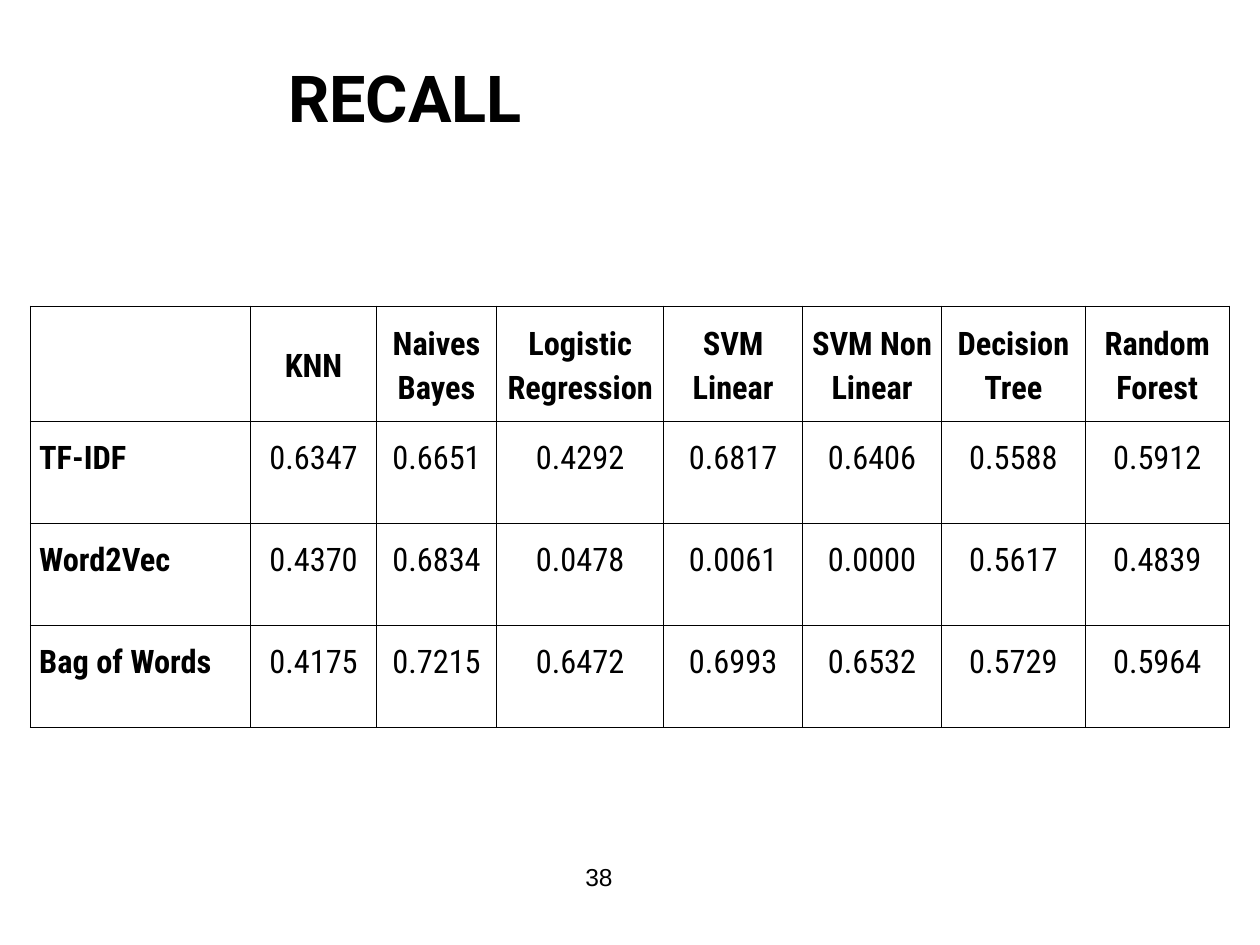
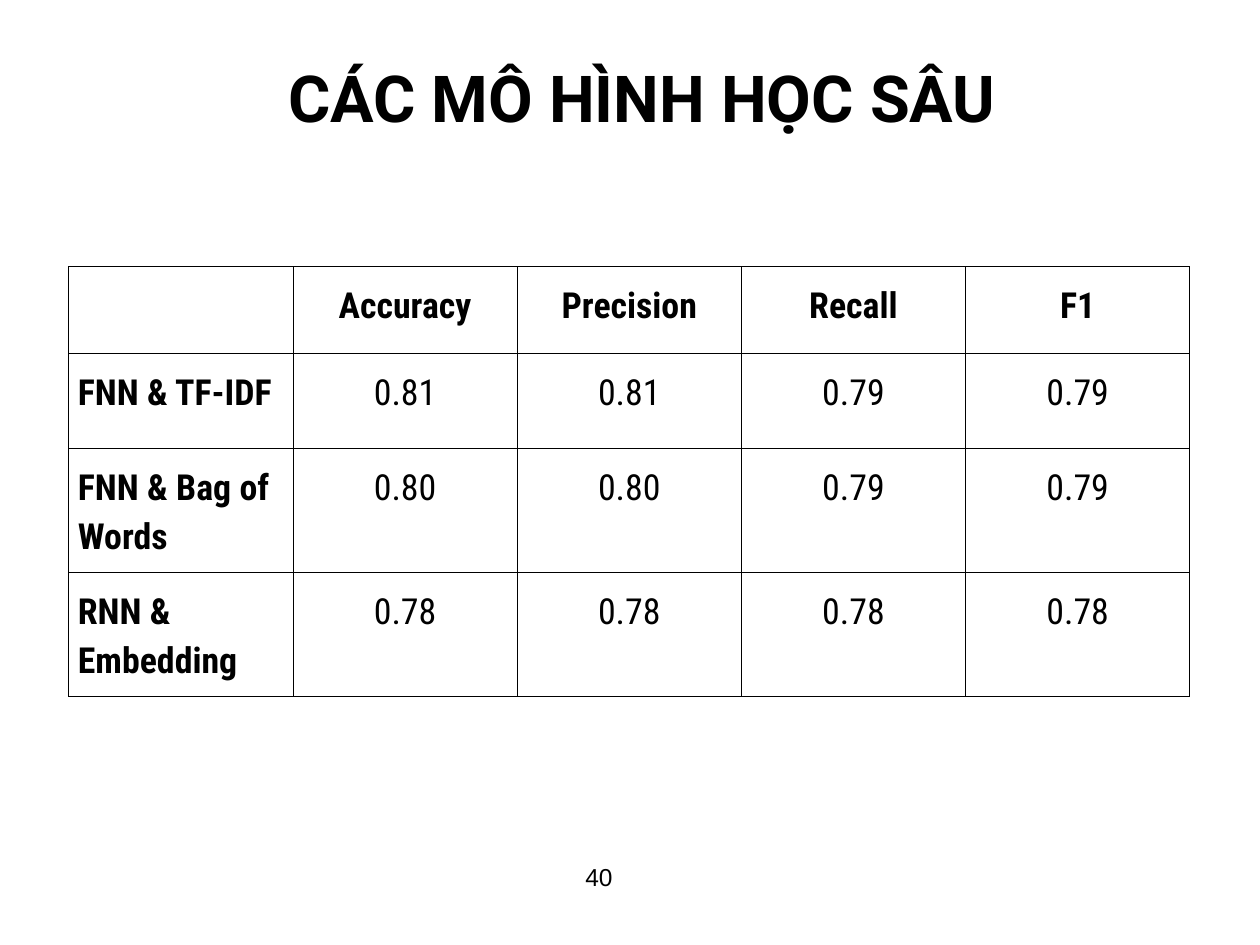
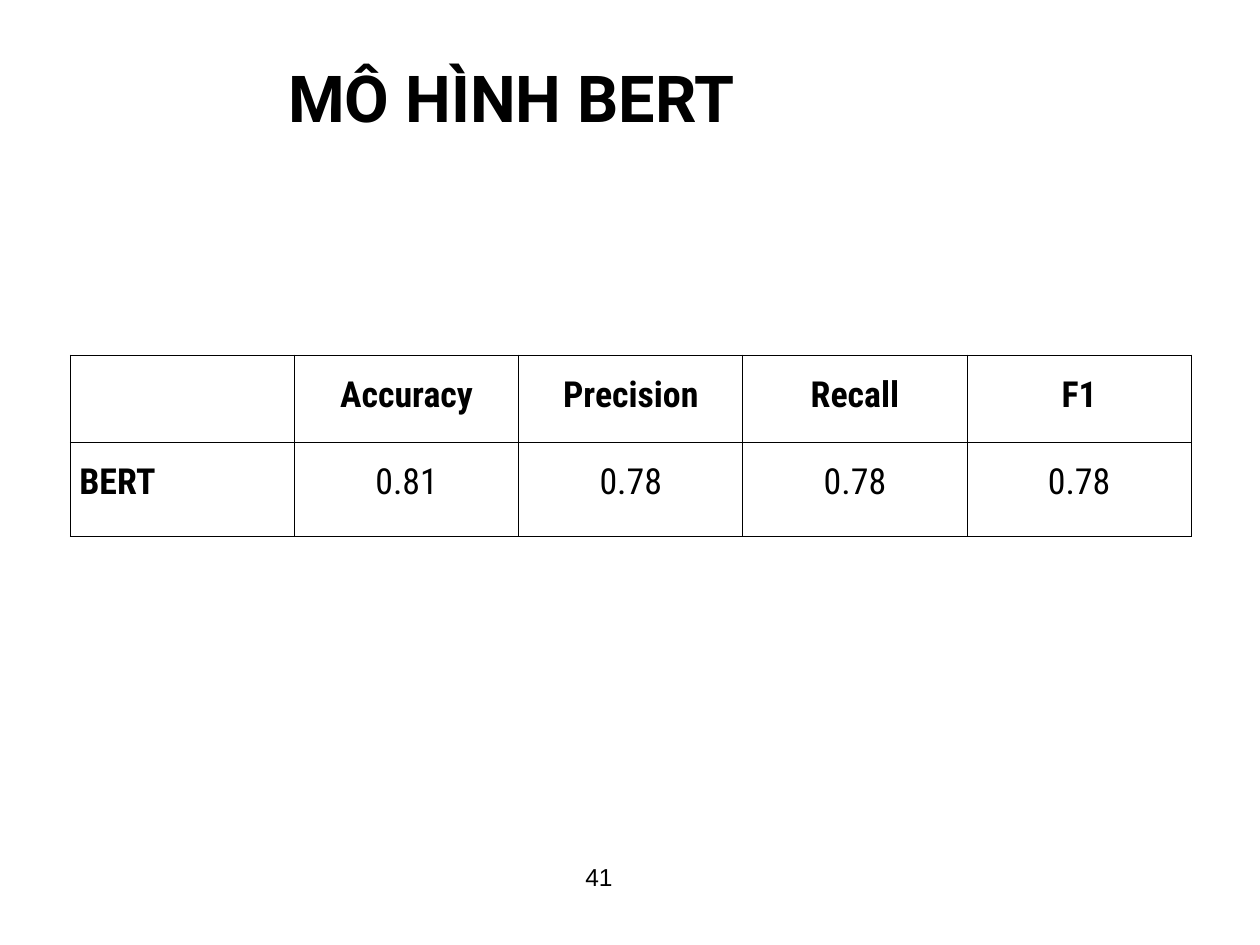
from lxml import etree
from pptx import Presentation
from pptx.dml.color import RGBColor
from pptx.enum.text import MSO_ANCHOR, MSO_AUTO_SIZE, PP_ALIGN
from pptx.oxml.ns import qn
from pptx.util import Cm, Pt

BLACK = RGBColor(0x00, 0x00, 0x00)
WHITE = RGBColor(0xFF, 0xFF, 0xFF)
LEFT, CENTER, RIGHT = PP_ALIGN.LEFT, PP_ALIGN.CENTER, PP_ALIGN.RIGHT
TOP, MIDDLE = MSO_ANCHOR.TOP, MSO_ANCHOR.MIDDLE
FIT_SHAPE = MSO_AUTO_SIZE.SHAPE_TO_FIT_TEXT

METRICS = ["", "Accuracy", "Precision", "Recall", "F1"]
METRIC_COLS = [4.52] * len(METRICS)


class Deck:
    """Holds the shared style and the slide being filled."""

    title_font, table_font, number_font = "Roboto", "Roboto Condensed", "Arial"
    border = Pt(0.66)

    def __init__(self):
        self.prs = Presentation()
        self.prs.slide_width, self.prs.slide_height = Cm(25.4), Cm(19.05)
        self.s = None

    def slide(self, title, number):
        self.s = self.prs.slides.add_slide(self.prs.slide_layouts[6])
        self.number(number)
        self.title(title)

    def set_text(self, p, text, font, size, bold=False, align=LEFT):
        p.text = text
        p.alignment = align
        for r in p.runs:
            r.font.name, r.font.size, r.font.bold = font, Pt(size), bold
            r.font.color.rgb = BLACK

    def textbox(self, x, y, w, h, margin):
        tf = self.s.shapes.add_textbox(Cm(x), Cm(y), Cm(w), Cm(h)).text_frame
        tf.word_wrap = True
        tf.margin_top = tf.margin_bottom = Cm(margin)
        return tf

    def number(self, number):
        tf = self.textbox(6.68, 17.25, 5.92, 1.52, 0.13)
        self.set_text(tf.paragraphs[0], str(number), self.number_font, 14, align=RIGHT)

    def title(self, text):
        tf = self.textbox(4.29, 0.91, 19.56, 2.08, 0.25)
        tf.auto_size = FIT_SHAPE
        p = tf.paragraphs[0]
        self.set_text(p, text, self.title_font, 37, bold=True)
        pPr = p._p.get_or_add_pPr()
        pPr.set("marL", str(Cm(1.27)))
        pPr.set("indent", "0")

    def outline(self, cell):
        tcPr = cell._tc.get_or_add_tcPr()
        for side in ("lnL", "lnR", "lnT", "lnB"):
            ln = etree.SubElement(tcPr, qn(f"a:{side}"), w=str(self.border))
            fill = etree.SubElement(ln, qn("a:solidFill"))
            etree.SubElement(fill, qn("a:srgbClr"), val=str(BLACK))

    def table(self, x, y, cols, heights, rows, size, header_anchor=TOP):
        frame = self.s.shapes.add_table(len(rows), len(cols), Cm(x), Cm(y),
                                        Cm(sum(cols)), Cm(sum(heights)))
        table = frame.table
        table.first_row = table.horz_banding = False
        for col, width in zip(table.columns, cols):
            col.width = Cm(width)
        for i, (row, height) in enumerate(zip(rows, heights)):
            table.rows[i].height = Cm(height)
            for j, text in enumerate(row):
                cell = table.cell(i, j)
                self.outline(cell)
                cell.fill.solid()
                cell.fill.fore_color.rgb = WHITE
                cell.margin_left = cell.margin_right = Cm(0.18)
                cell.margin_top = cell.margin_bottom = Cm(0.25)
                cell.vertical_anchor = TOP if i else header_anchor
                p = cell.text_frame.paragraphs[0]
                self.set_text(p, text, self.table_font, size,
                              bold=i == 0 or j == 0, align=CENTER if j else LEFT)
                p.line_spacing = 1.15
                p.space_after = Pt(12)


def main():
    deck = Deck()

    deck.slide("RECALL", 38)
    deck.table(0.61, 6.17, [4.44, 2.54, 2.42, 3.37, 2.8, 2.8, 2.9, 2.9],
               [2.32, 2.06, 2.06, 2.06], [
        ["", "KNN", "Naives Bayes", "Logistic Regression", "SVM Linear",
         "SVM Non Linear", "Decision Tree", "Random Forest"],
        ["TF-IDF", "0.6347", "0.6651", "0.4292", "0.6817", "0.6406", "0.5588", "0.5912"],
        ["Word2Vec", "0.4370", "0.6834", "0.0478", "0.0061", "0.0000", "0.5617", "0.4839"],
        ["Bag of Words", "0.4175", "0.7215", "0.6472", "0.6993", "0.6532", "0.5729", "0.5964"],
    ], 18.5, MIDDLE)

    deck.slide("CÁC MÔ HÌNH HỌC SÂU", 40)
    deck.table(1.39, 5.38, METRIC_COLS, [1.75, 1.91, 2.5, 2.5], [
        METRICS,
        ["FNN & TF-IDF", "0.81", "0.81", "0.79", "0.79"],
        ["FNN & Bag of Words", "0.80", "0.80", "0.79", "0.79"],
        ["RNN & Embedding", "0.78", "0.78", "0.78", "0.78"],
    ], 20.5)

    deck.slide("MÔ HÌNH BERT", 41)
    deck.table(1.42, 7.16, METRIC_COLS, [1.75, 1.91], [
        METRICS,
        ["BERT", "0.81", "0.78", "0.78", "0.78"],
    ], 20.5)

    deck.prs.save("out.pptx")


if __name__ == "__main__":
    main()
